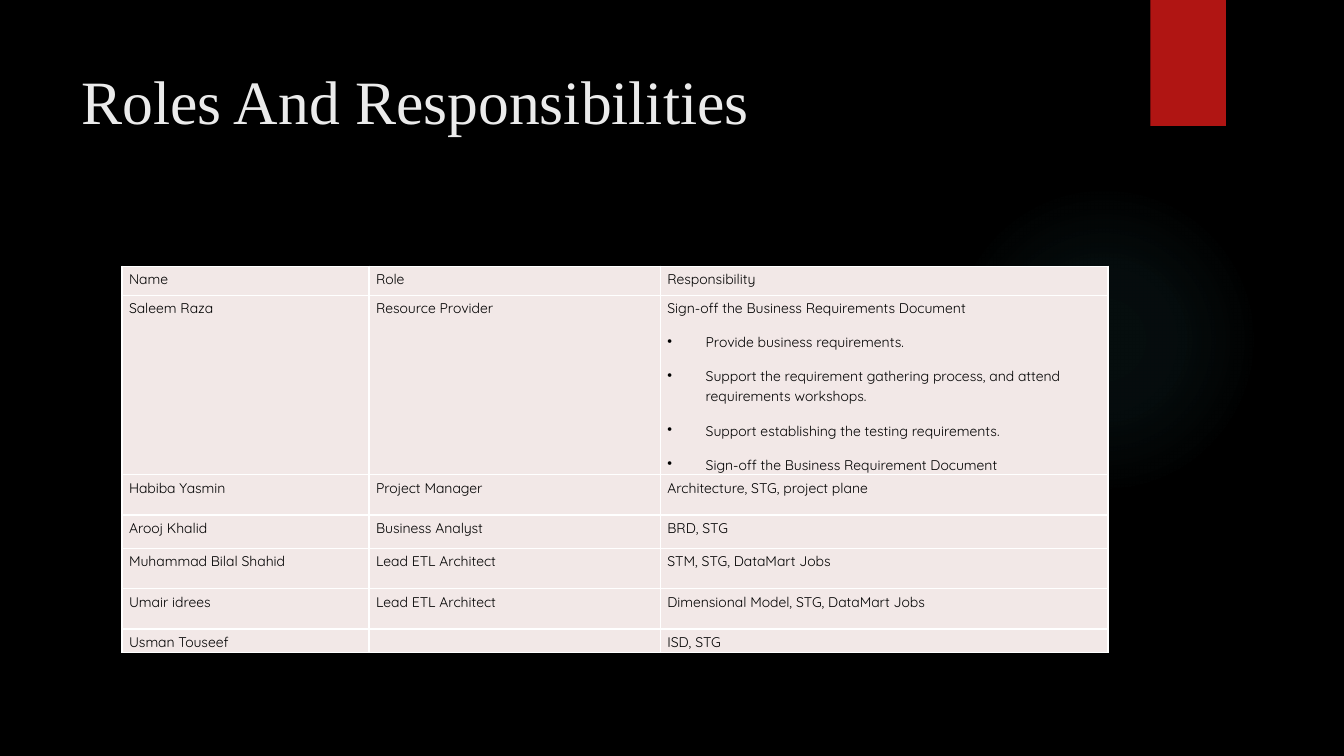
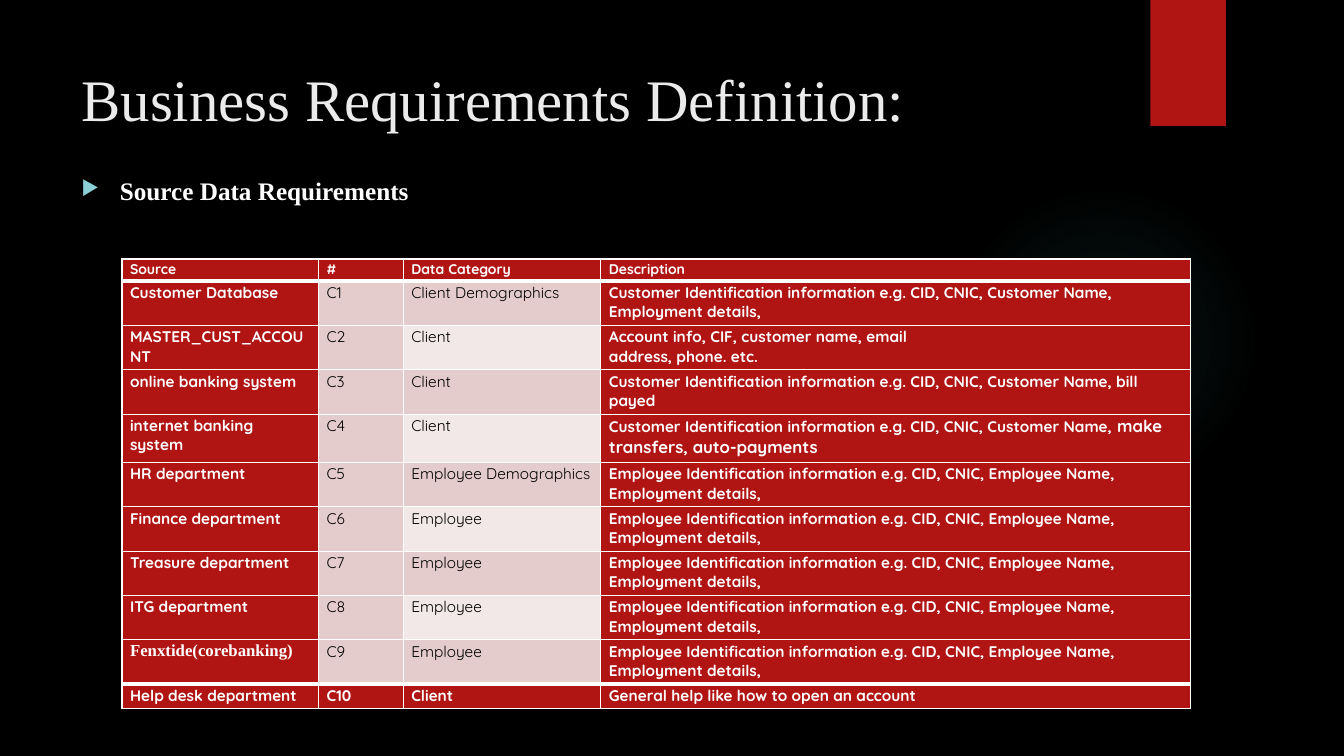
from lxml import etree
from pptx import Presentation
from pptx import util as u
from pptx.dml.color import RGBColor
from pptx.enum import shapes, text
from pptx.oxml import ns

PX = 9144
BLACK = RGBColor(0x00, 0x00, 0x00)
WHITE = RGBColor(0xFF, 0xFF, 0xFF)
CHALK = RGBColor(0xEB, 0xEB, 0xEB)
RED = RGBColor(0xB0, 0x15, 0x13)
ROSE = RGBColor(0xE4, 0xCC, 0xCC)
PALE = RGBColor(0xF2, 0xE8, 0xE7)
TEAL = RGBColor(0x50, 0xB9, 0xC1)
AQUA = RGBColor(0x8A, 0xD0, 0xD6)
SERIF = "Times New Roman"
SANS = "Quicksand"

ROLES = [
    ["Name", "Role", "Responsibility"],
    ["Saleem Raza", "Resource Provider",
     "Sign-off the Business Requirements Document\n"
     "Provide business requirements.\n"
     "Support the requirement gathering process, and attend requirements workshops.\n"
     "Support establishing the testing requirements.\n"
     "Sign-off the Business Requirement Document"],
    ["Habiba Yasmin", "Project Manager", "Architecture, STG, project plane"],
    ["Arooj Khalid", "Business Analyst", "BRD, STG"],
    ["Muhammad Bilal Shahid", "Lead ETL Architect", "STM, STG, DataMart Jobs"],
    ["Umair idrees", "Lead ETL Architect", "Dimensional Model, STG, DataMart Jobs"],
    ["Usman Touseef", "", "ISD, STG"],
]

CLIENT = "Customer Identification information e.g. CID, CNIC, Customer Name, "
STAFF = "Employee Identification information e.g. CID, CNIC, Employee Name, Employment details,"
FEEDS = [
    ("Customer Database", "Client Demographics", CLIENT + "Employment details,"),
    ("MASTER_CUST_ACCOUNT", "Client",
     "Account info, CIF, customer name, email\naddress, phone. etc."),
    ("online banking system", "Client", CLIENT + "bill payed"),
    ("internet banking system", "Client", CLIENT),
    ("HR department", "Employee Demographics", STAFF),
    ("Finance department", "Employee", STAFF),
    ("Treasure department", "Employee", STAFF),
    ("ITG department", "Employee", STAFF),
    ("Fenxtide(corebanking)", "Employee", STAFF),
    ("Help desk department", "Client", "General help like how to open an account"),
]


def box(*lens):
    return [n * PX for n in lens]


def node(home, tag, **atts):
    return etree.SubElement(home, ns.qn("a:" + tag), **atts)


def style(run, size, color, face=SANS, bold=False):
    font = run.font
    font.size, font.name, font.bold = u.Pt(size), face, bold
    font.color.rgb = color


def bullet(para, sign, color=None, scale=None):
    props = para._p.get_or_add_pPr()
    props.set("marL", str(38 * PX))
    props.set("indent", str(-38 * PX))
    if color is not None:
        node(node(props, "buClr"), "srgbClr", val=str(color))
    if scale:
        node(props, "buSzPct", val=str(scale * 1000))
    node(props, "buChar", char=sign)


def glow(slide, area):
    disc = slide.shapes.add_shape(shapes.MSO_SHAPE.OVAL, *box(*area))
    disc.shadow.inherit = False
    disc.line.fill.background()
    disc.fill.background()
    props = disc._element.spPr
    grad = etree.Element(ns.qn("a:gradFill"), rotWithShape="1")
    stops = node(grad, "gsLst")
    for pos, alpha in ((0, 7), (36, 6), (69, 0)):
        stop = node(stops, "gs", pos=str(pos * 1000))
        tint = node(stop, "srgbClr", val=str(TEAL))
        node(tint, "alpha", val=str(alpha * 1000))
    way = node(grad, "path", path="circle")
    node(way, "fillToRect", l="50000", t="50000", r="50000", b="50000")
    props.replace(props.find(ns.qn("a:noFill")), grad)


def label(slide, area, words, size, color, bold=False, top=5):
    frame = slide.shapes.add_textbox(*box(*area)).text_frame
    frame.word_wrap = True
    frame.vertical_anchor = text.MSO_ANCHOR.TOP
    frame.margin_top = top * PX
    frame.text = words
    para = frame.paragraphs[0]
    style(para.runs[0], size, color, SERIF, bold)
    return para


def base(deck, title, size, high):
    slide = deck.slides.add_slide(deck.slide_layouts[6])
    back = slide.background.fill
    back.solid()
    back.fore_color.rgb = BLACK
    glow(slide, (941, 183, 308, 308))
    flag = slide.shapes.add_shape(shapes.MSO_SHAPE.RECTANGLE, *box(1141, 0, 75, 125))
    flag.shadow.inherit = False
    flag.fill.solid()
    flag.fill.fore_color.rgb = RED
    flag.line.fill.background()
    label(slide, (71, 50, 1029, high), title, size, CHALK, top=12)
    return slide


def edges(cell, above, below):
    props = cell._tc.get_or_add_tcPr()
    sides = (("lnL", 1), ("lnR", 1), ("lnT", above), ("lnB", below))
    for spot, (tag, width) in enumerate(sides):
        line = etree.Element(ns.qn("a:" + tag), w=str(u.Pt(width)))
        node(node(line, "solidFill"), "srgbClr", val=str(WHITE))
        props.insert(spot, line)


def grid(slide, left, top, cols, rows, data, look, pad, thick=()):
    area = box(left, top, sum(cols), sum(rows))
    table = slide.shapes.add_table(len(rows), len(cols), *area).table
    table.first_row = table.horz_banding = False
    for col, width in zip(table.columns, cols):
        col.width = width * PX
    for row, high in zip(table.rows, rows):
        row.height = high * PX
    for r, line in enumerate(data):
        for c, words in enumerate(line):
            cell = table.cell(r, c)
            fill, size, color, bold = look(r, c)
            cell.margin_left = cell.margin_right = pad * PX
            cell.margin_top = cell.margin_bottom = 2 * PX
            cell.fill.solid()
            cell.fill.fore_color.rgb = fill
            edges(cell, *(3 if n in thick else 1 for n in (r, r + 1)))
            cell.text_frame.text = words
            for para in cell.text_frame.paragraphs:
                for run in para.runs:
                    style(run, size, color, bold=bold)
                if not para.runs:
                    node(para._p, "endParaRPr", sz=str(size * 100))
    return table


def roles(deck):
    slide = base(deck, "Roles And Responsibilities", 44, 105)
    table = grid(slide, 121, 264, (245, 289, 444), (29, 178, 40, 33, 40, 40, 23),
                 ROLES, lambda r, c: (PALE, 10, BLACK, False), 7)
    for cell in table.iter_cells():
        for spot, para in enumerate(cell.text_frame.paragraphs):
            para.line_spacing = 1.15
            para.space_after = u.Pt(10)
            if spot:
                bullet(para, "•")


def feed_look(r, c):
    if r == 0:
        return RED, 10, WHITE, True
    if r == len(FEEDS) or c in (0, 3):
        return RED, 11, WHITE, True
    return (PALE if c == 2 and r % 2 == 0 else ROSE), 11, BLACK, False


def needs(deck):
    slide = base(deck, "Business Requirements Definition:", 42, 153)
    head = label(slide, (71, 169, 1162, 561), "Source Data Requirements", 18, WHITE, True)
    bullet(head, "▶", AQUA, 80)
    data = [("Source", "#", "Data Category", "Description")]
    data += [(name, f"C{n}", kind, note) for n, (name, kind, note) in enumerate(FEEDS, 1)]
    rows = [22] + [44] * 3 + [48] + [44] * 5 + [24]
    table = grid(slide, 121, 257, (195, 84, 196, 585), rows, data, feed_look, 8,
                 thick=(1, len(FEEDS)))
    extra = table.cell(4, 3).text_frame.paragraphs[0].add_run()
    extra.text = "make transfers, auto-payments"
    style(extra, 12, WHITE, bold=True)
    core = table.cell(9, 0).text_frame.paragraphs[0].runs[0]
    style(core, 12, WHITE, SERIF, True)


def main():
    deck = Presentation()
    deck.slide_width, deck.slide_height = box(1333, 750)
    roles(deck)
    needs(deck)
    deck.save("out.pptx")


if __name__ == "__main__":
    main()
